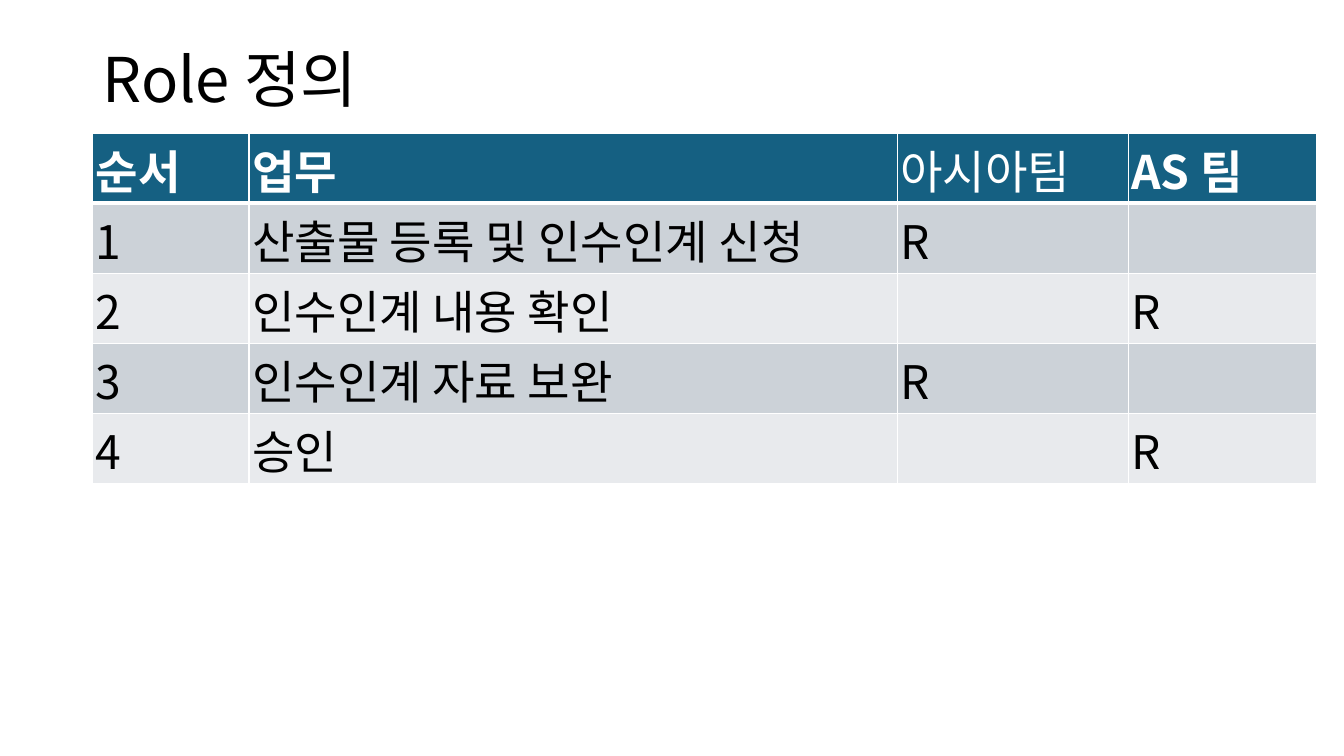
from lxml import etree
from pptx import Presentation
from pptx.dml.color import RGBColor
from pptx.enum import text
from pptx.oxml import ns
from pptx.util import Inches, Pt

FONT = "Noto Sans CJK KR"
BLACK = RGBColor(0x00, 0x00, 0x00)
WHITE = RGBColor(0xFF, 0xFF, 0xFF)
HEADER_BLUE = RGBColor(0x15, 0x60, 0x82)
BAND_DARK = RGBColor(0xCC, 0xD2, 0xD8)
BAND_LIGHT = RGBColor(0xE8, 0xEA, 0xED)

COLUMN_WIDTHS = (1.55, 6.43, 2.29, 1.87)
ROW_HEIGHT = 0.695
ROLES = (
    ("순서", "업무", "아시아팀", "AS 팀"),
    ("1", "산출물 등록 및 인수인계 신청", "R", ""),
    ("2", "인수인계 내용 확인", "", "R"),
    ("3", "인수인계 자료 보완", "R", ""),
    ("4", "승인", "", "R"),
)
REGULAR_HEADER = "아시아팀"


def style_paragraph(para, size, color, bold=False):
    font = para.font
    font.name, font.size, font.bold = FONT, Pt(size), bold
    font.color.rgb = color
    east_asian = etree.SubElement(font._element, ns.qn("a:ea"))
    east_asian.set("typeface", FONT)


def add_border(cell, side, points):
    """Draw a white line on one side of a cell: L, R, T or B."""
    line = etree.SubElement(cell._tc.get_or_add_tcPr(), ns.qn(f"a:ln{side}"))
    line.set("w", str(Pt(points)))
    fill = etree.SubElement(line, ns.qn("a:solidFill"))
    etree.SubElement(fill, ns.qn("a:srgbClr")).set("val", str(WHITE))


def add_title(page, left, top, width, height):
    box = page.shapes.add_textbox(Inches(left), Inches(top), Inches(width), Inches(height))
    frame = box.text_frame
    frame.word_wrap = True
    frame.vertical_anchor = text.MSO_ANCHOR.MIDDLE
    para = frame.paragraphs[0]
    para.text = "Role 정의"
    para.line_spacing = 0.9
    style_paragraph(para, 44, BLACK)


def fill_cell(cell, words, is_header, background):
    cell.text = words
    cell.vertical_anchor = text.MSO_ANCHOR.BOTTOM
    cell.margin_left = cell.margin_right = cell.margin_top = Inches(0.03)
    cell.margin_bottom = 0
    for side in "LRTB":
        add_border(cell, side, 3 if is_header and side == "B" else 1)
    cell.fill.solid()
    cell.fill.fore_color.rgb = background
    style_paragraph(cell.text_frame.paragraphs[0], 33, WHITE if is_header else BLACK,
                    bold=is_header and words != REGULAR_HEADER)


def add_role_table(page, left, top):
    frame = page.shapes.add_table(
        len(ROLES), len(COLUMN_WIDTHS), Inches(left), Inches(top),
        Inches(sum(COLUMN_WIDTHS)), Inches(ROW_HEIGHT * len(ROLES)))
    table = frame.table
    for column, width in zip(table.columns, COLUMN_WIDTHS):
        column.width = Inches(width)
    for index, (row, role) in enumerate(zip(table.rows, ROLES)):
        row.height = Inches(ROW_HEIGHT)
        is_header = index == 0
        band = BAND_DARK if index % 2 else BAND_LIGHT
        for cell, words in zip(row.cells, role):
            fill_cell(cell, words, is_header, HEADER_BLUE if is_header else band)


def main():
    deck = Presentation()
    deck.slide_width, deck.slide_height = Inches(13.33), Inches(7.5)
    page = deck.slides.add_slide(deck.slide_layouts[6])
    add_title(page, 0.92, 0.09, 11.5, 1.45)
    add_role_table(page, 0.92, 1.32)
    deck.save("out.pptx")


if __name__ == "__main__":
    main()
